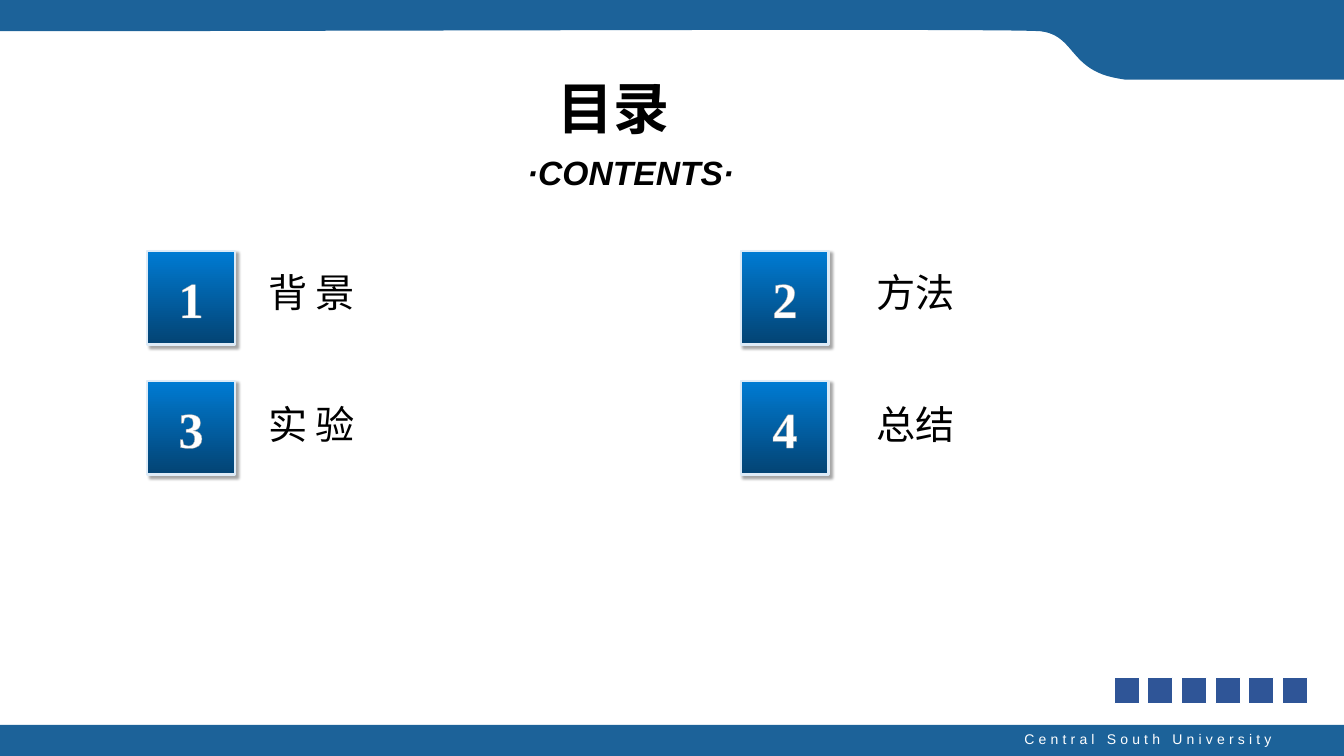
import pptx
import pptx.util
import pptx.dml.color
import pptx.enum.shapes
import pptx.enum.text
import pptx.oxml
import pptx.oxml.ns
from pptx.util import Inches

# Content
TITLE = "目录"
SUBTITLE = "·CONTENTS·"
FOOTER = "Central South University"
TOPICS = [("1", "背 景"), ("2", "方法"), ("3", "实 验"), ("4", "总结")]

COLORS = {"band": "1C6299", "black": "000000", "white": "FFFFFF",
          "tile_top": "007BD3", "tile_bottom": "034373", "tile_edge": "DEEBF7",
          "digit_edge": "A6A6A6", "square": "2F5597"}
CJK = "Noto Sans CJK SC"

# Layout in inches
WIDTH, HEIGHT = 13.33, 7.5
TILE_X, TILE_Y, TILE_SIZE = (1.46, 7.35), (2.49, 3.78), (0.87, 0.93)
LABEL_X, LABEL_Y, LABEL_SIZE = (2.56, 8.59), (2.61, 3.92), (3.05, 0.74)
SQUARES, SQUARE_X, SQUARE_Y, SQUARE_STEP = 6, 11.05, 6.72, 0.334

# Header outline: straight corners, then Bezier curves (control, control, end)
HEADER_CORNERS = [(0, 0), (WIDTH, 0), (WIDTH, 0.79), (11.16, 0.79), (11.1, 0.78)]
HEADER_CURVES = [[(10.6, 0.7), (10.67, 0.35), (10.32, 0.31)],
                 [(9.97, 0.28), (3.44, 0.31), (0, 0.31)]]
CURVE_STEPS = 24

ALIGN = pptx.enum.text.PP_ALIGN
NS = 'xmlns:a="http://schemas.openxmlformats.org/drawingml/2006/main"'


def rgb(name):
    return pptx.dml.color.RGBColor.from_string(COLORS[name])


def write(s, text, size=28, font="Arial", color="black", bold=False, italic=False,
          align=ALIGN.LEFT, wrap=True, grow=False, middle=False, spacing=None, outline=None):
    tf = s.text_frame
    tf.word_wrap = wrap
    if grow:
        tf.auto_size = pptx.enum.text.MSO_AUTO_SIZE.SHAPE_TO_FIT_TEXT
    anchor = pptx.enum.text.MSO_ANCHOR
    tf.vertical_anchor = anchor.MIDDLE if middle else anchor.TOP
    p = tf.paragraphs[0]
    p.alignment = align
    r = p.add_run()
    r.text = text
    r.font.size = pptx.util.Pt(size)
    r.font.bold, r.font.italic = bold, italic
    r.font.color.rgb = rgb(color)
    r.font.name = font
    props = r.font._element
    props.find(pptx.oxml.ns.qn("a:latin")).addnext(
        pptx.oxml.parse_xml(f'<a:ea {NS} typeface="{CJK}"/>'))
    if spacing:
        props.set("spc", str(spacing * 100))
    if outline:
        props.insert(0, pptx.oxml.parse_xml(
            f'<a:ln {NS} w="9525"><a:solidFill><a:srgbClr val="{COLORS[outline]}"/>'
            '</a:solidFill></a:ln>'))


def finish(s, fill, line=None, width=0.75):
    s.shadow.inherit = False
    s.fill.solid()
    s.fill.fore_color.rgb = rgb(fill)
    if line:
        s.line.color.rgb = rgb(line)
        s.line.width = pptx.util.Pt(width)
    else:
        s.line.fill.background()


def add_rect(slide, x, y, w, h, fill, **line):
    s = slide.shapes.add_shape(pptx.enum.shapes.MSO_SHAPE.RECTANGLE,
                               Inches(x), Inches(y), Inches(w), Inches(h))
    finish(s, fill, **line)
    return s


def add_text(slide, x, y, w, h, text, **style):
    s = slide.shapes.add_textbox(Inches(x), Inches(y), Inches(w), Inches(h))
    write(s, text, **style)


def add_header(slide):
    points = list(HEADER_CORNERS)
    for c1, c2, end in HEADER_CURVES:
        start = points[-1]
        for i in range(1, CURVE_STEPS + 1):
            t = i / CURVE_STEPS
            u = 1 - t
            points.append(tuple(u**3 * a + 3 * u * u * t * b + 3 * u * t * t * c + t**3 * d
                                for a, b, c, d in zip(start, c1, c2, end)))
    points = [(Inches(x), Inches(y)) for x, y in points]
    builder = slide.shapes.build_freeform(*points[0], scale=1.0)
    builder.add_line_segments(points[1:], close=True)
    finish(builder.convert_to_shape(), "band")


def add_tile(slide, x, y, number):
    s = add_rect(slide, x, y, *TILE_SIZE, "tile_top", line="tile_edge", width=1.75)
    s.fill.gradient()
    s.fill.gradient_angle = 270
    for stop, color, position in zip(s.fill.gradient_stops, ("tile_top", "tile_bottom"), (0, 1)):
        stop.color.rgb = rgb(color)
        stop.position = position
    effects = s._element.spPr.find(pptx.oxml.ns.qn("a:effectLst"))
    effects.append(pptx.oxml.parse_xml(
        f'<a:outerShdw {NS} blurRad="25400" dist="38100" dir="2700000" algn="tl" rotWithShape="0">'
        f'<a:srgbClr val="{COLORS["black"]}"><a:alpha val="35000"/></a:srgbClr></a:outerShdw>'))
    write(s, number, size=36, font="Times New Roman", color="white", bold=True,
          align=ALIGN.CENTER, wrap=False, middle=True, outline="digit_edge")


def main():
    prs = pptx.Presentation()
    prs.slide_width, prs.slide_height = Inches(WIDTH), Inches(HEIGHT)
    slide = prs.slides.add_slide(prs.slide_layouts[6])

    # Header and footer bands
    add_header(slide)
    add_rect(slide, 0, 7.19, WIDTH, 0.31, "band")
    add_text(slide, 9.99, 7.2, 2.72, 0.27, FOOTER, size=10, color="white",
             align=ALIGN.RIGHT, wrap=False, grow=True, spacing=3)

    # Heading
    add_text(slide, 5.43, 0.68, 1.65, 0.77, TITLE, size=40, bold=True,
             align=ALIGN.JUSTIFY, grow=True)
    add_text(slide, 4.78, 1.46, 2.95, 0.5, SUBTITLE, size=24, bold=True, italic=True,
             align=ALIGN.CENTER, grow=True)

    # Numbered topics, two per row
    for i, (number, label) in enumerate(TOPICS):
        row, col = divmod(i, 2)
        add_tile(slide, TILE_X[col], TILE_Y[row], number)
        add_text(slide, LABEL_X[col], LABEL_Y[row], *LABEL_SIZE, label, font=CJK)

    # Row of small squares
    for i in range(SQUARES):
        add_rect(slide, SQUARE_X + i * SQUARE_STEP, SQUARE_Y, 0.25, 0.26, "square", line="white")

    prs.save("out.pptx")


if __name__ == "__main__":
    main()
